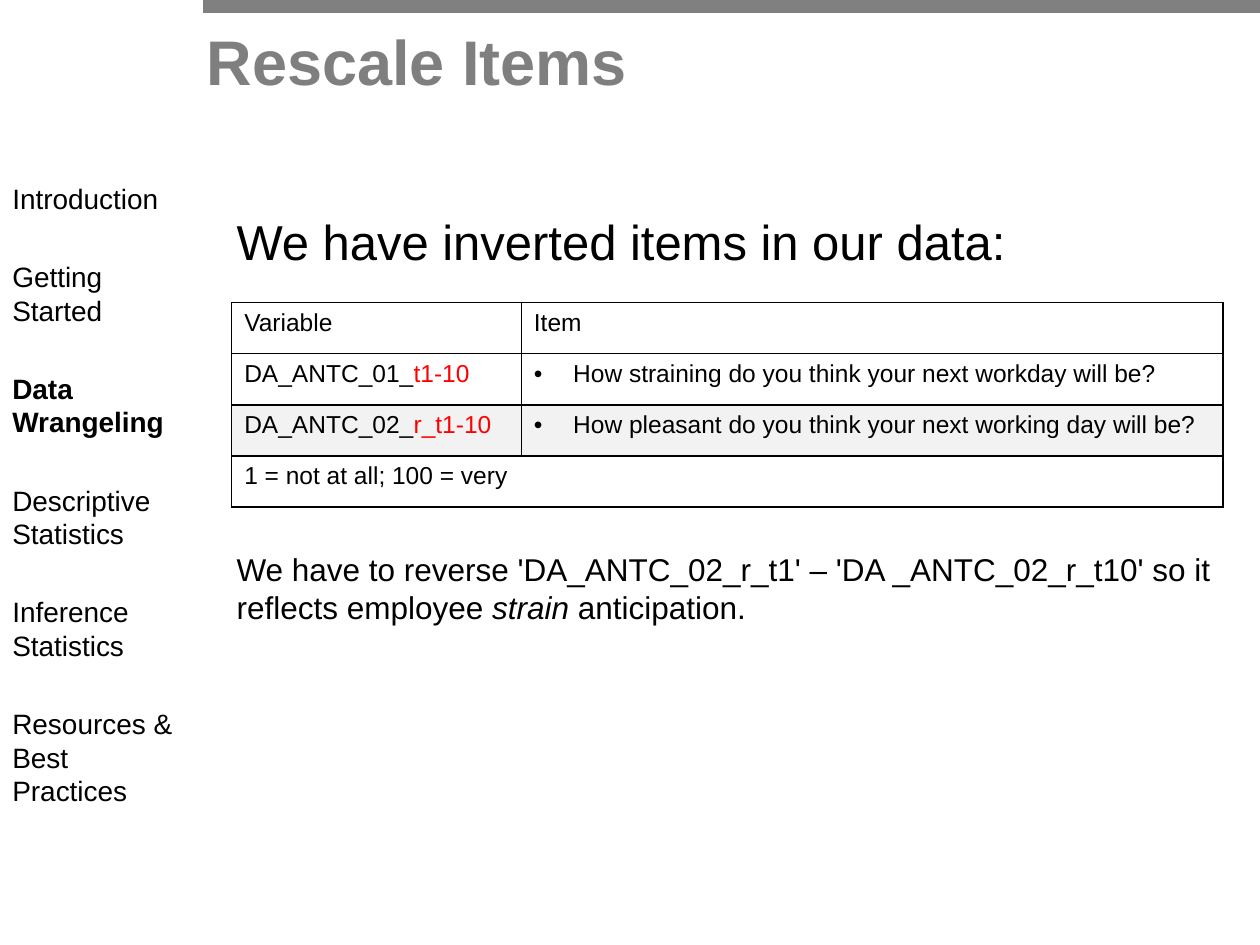
from lxml.etree import SubElement
from pptx import Presentation
from pptx.dml.color import RGBColor
from pptx.enum.shapes import MSO_CONNECTOR as Connector
from pptx.enum.text import MSO_ANCHOR as Anchor, MSO_AUTO_SIZE as AutoSize, PP_ALIGN as Align
from pptx.oxml.ns import qn
from pptx.util import Cm, Pt

FONT = "Arial"
BLACK = RGBColor(0, 0, 0)
WHITE = RGBColor(0xFF, 0xFF, 0xFF)
RED = RGBColor(0xFF, 0, 0)
BAR_GREY = RGBColor(0x80, 0x80, 0x80)
TITLE_GREY = RGBColor(0x7F, 0x7F, 0x7F)
ROW_GREY = RGBColor(0xF2, 0xF2, 0xF2)

CHAPTERS = ["Introduction", "Getting Started", "Data Wrangeling",
            "Descriptive Statistics", "Inference Statistics",
            "Resources & Best Practices"]
CURRENT = "Data Wrangeling"

# Variable stem, highlighted suffix, question, row fill
ITEMS = [
    ("DA_ANTC_01_", "t1-10",
     "How straining do you think your next workday will be?", WHITE),
    ("DA_ANTC_02_", "r_t1-10",
     "How pleasant do you think your next working day will be?", ROW_GREY),
]


def style(para, size, color=BLACK, bold=False):
    para.font.name = FONT
    para.font.size = Pt(size)
    para.font.color.rgb = color
    para.font.bold = bold


def add_span(para, text):
    span = para.add_run()
    span.text = text
    return span


def add_frame(page, box):
    frame = page.shapes.add_textbox(*box).text_frame
    frame.word_wrap = True
    return frame


def add_header(page, box):
    left, top, width, height = box
    # Bar along the top edge
    bar_y = top + Cm(0.13)
    bar = page.shapes.add_connector(
        Connector.STRAIGHT, left + Cm(0.18), bar_y, left + width, bar_y)
    bar.line.color.rgb = BAR_GREY
    bar.line.width = Pt(8)
    SubElement(bar._element.spPr, qn("a:effectLst"))
    # Title
    title = page.shapes.title
    title.left, title.top = left, top + Cm(0.33)
    title.width, title.height = width, height - Cm(0.33)
    frame = title.text_frame
    frame.text = "Rescale Items"
    frame.word_wrap = True
    frame.auto_size = AutoSize.NONE
    frame.vertical_anchor = Anchor.TOP
    frame.paragraphs[0].alignment = Align.LEFT
    style(frame.paragraphs[0], 36, TITLE_GREY, bold=True)


def add_chapters(page, box):
    frame = add_frame(page, box)
    for index, chapter in enumerate(CHAPTERS):
        para = frame.add_paragraph() if index else frame.paragraphs[0]
        add_span(para, chapter)
        if index:
            para.space_before = Pt(25.5)
        style(para, 16, bold=chapter == CURRENT)


def add_message(page, box):
    frame = add_frame(page, box)
    lead = frame.paragraphs[0]
    add_span(lead, "We have inverted items in our data:")
    style(lead, 28)
    # The space above the conclusion leaves room for the table
    conclusion = frame.add_paragraph()
    conclusion.space_before = Pt(160)
    add_span(conclusion, "We have to reverse 'DA_ANTC_02_r_t1' – "
                         "'DA _ANTC_02_r_t10' so it reflects employee ")
    add_span(conclusion, "strain").font.italic = True
    add_span(conclusion, " anticipation.")
    style(conclusion, 18)


def add_bullet(para):
    props = para._p.get_or_add_pPr()
    props.set("marL", str(Cm(0.79)))
    props.set("indent", str(-Cm(0.79)))
    SubElement(props, qn("a:buFont"), typeface=FONT)
    SubElement(props, qn("a:buChar"), char="•")


def format_cell(cell, fill):
    props = cell._tc.get_or_add_tcPr()
    for side in ("lnL", "lnR", "lnT", "lnB"):
        border = SubElement(props, qn(f"a:{side}"), w=str(Pt(0.96)))
        paint = SubElement(border, qn("a:solidFill"))
        SubElement(paint, qn("a:srgbClr"), val=str(BLACK))
    cell.fill.solid()
    cell.fill.fore_color.rgb = fill
    style(cell.text_frame.paragraphs[0], 14)


def add_items(page, box):
    left, top, width, height = box
    row_count = len(ITEMS) + 2
    table = page.shapes.add_table(row_count, 2, left, top, width, height).table
    table.first_row = table.horz_banding = False
    table.columns[0].width = Cm(5.84)
    table.columns[1].width = width - Cm(5.84)
    # Heading and scale rows
    table.cell(0, 0).text = "Variable"
    table.cell(0, 1).text = "Item"
    scale = table.cell(row_count - 1, 0)
    scale.merge(table.cell(row_count - 1, 1))
    scale.text = "1 = not at all; 100 = very"
    # Item rows
    for row, (stem, suffix, question, _) in enumerate(ITEMS, start=1):
        name = table.cell(row, 0).text_frame.paragraphs[0]
        add_span(name, stem)
        add_span(name, suffix).font.color.rgb = RED
        para = table.cell(row, 1).text_frame.paragraphs[0]
        add_bullet(para)
        add_span(para, question)
    fills = [WHITE, *(item[-1] for item in ITEMS), WHITE]
    for row, fill in zip(table.rows, fills):
        for cell in row.cells:
            format_cell(cell, fill)


def main():
    deck = Presentation()
    deck.slide_width, deck.slide_height = Cm(25.4), Cm(19.05)
    page = deck.slides.add_slide(deck.slide_layouts[5])
    add_header(page, (Cm(3.91), Cm(0), Cm(21.49), Cm(2.92)))
    add_message(page, (Cm(4.52), Cm(4.14), Cm(20.88), Cm(14.2)))
    add_chapters(page, (Cm(0), Cm(3.53), Cm(3.89), Cm(14.2)))
    add_items(page, (Cm(4.67), Cm(6.1), Cm(19.99), Cm(4.12)))
    deck.save("out.pptx")


if __name__ == "__main__":
    main()
